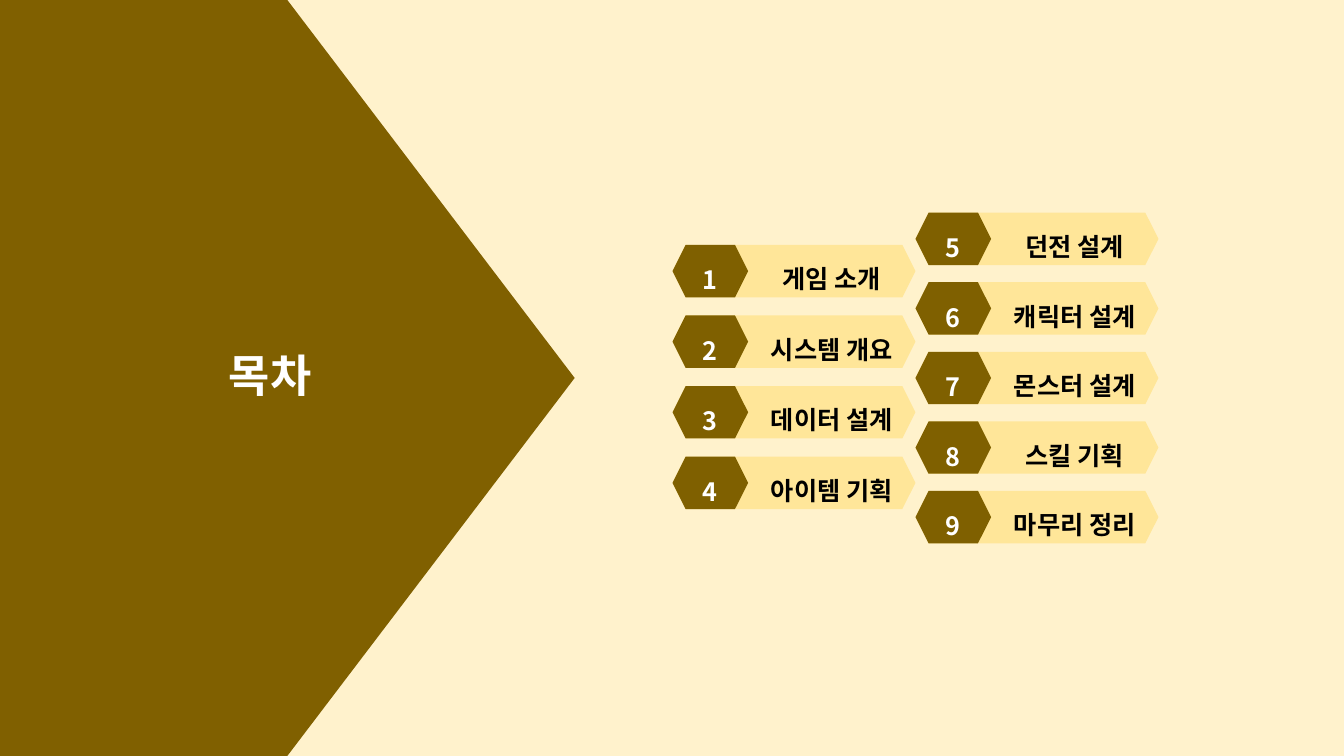
import pptx
import pptx.dml.color
import pptx.enum.shapes
import pptx.enum.text
import pptx.oxml
import pptx.oxml.ns
import pptx.util
from pptx.util import Inches

# Content
TITLE = "목차"
COLUMNS = [  # left, top, row step, entries
    (6.67, 2.43, 0.70, ["게임 소개", "시스템 개요", "데이터 설계", "아이템 기획"]),
    (9.08, 2.11, 0.69, ["던전 설계", "캐릭터 설계", "몬스터 설계", "스킬 기획", "마무리 정리"]),
]

THEME = {
    "font": "Noto Sans CJK KR",
    "cream": "FFF2CC", "brown": "806000", "badge": "7F6000", "bar": "FFE699",
    "white": "FFFFFF", "black": "000000",
    "title_size": 32, "entry_size": 18,
}

PAGE_W, PAGE_H = 13.33, 7.5
ARROW_W = 5.7
BAR_W, BADGE_W, BAR_H, TEXT_H = 2.41, 0.75, 0.52, 0.5
SHAPE = pptx.enum.shapes.MSO_SHAPE


def color(name):
    return pptx.dml.color.RGBColor.from_string(THEME[name])


def add_block(shapes, kind, left, top, width, height, fill):
    block = shapes.add_shape(kind, Inches(left), Inches(top), Inches(width), Inches(height))
    block.shadow.inherit = False
    block.fill.solid()
    block.fill.fore_color.rgb = color(fill)
    block.line.fill.background()


def add_text(shapes, text, left, top, width, height, size, fill, spacing, grow=False):
    box = shapes.add_textbox(Inches(left), Inches(top), Inches(width), Inches(height))
    frame = box.text_frame
    frame.word_wrap = True
    frame.vertical_anchor = pptx.enum.text.MSO_ANCHOR.MIDDLE
    if grow:
        frame.auto_size = pptx.enum.text.MSO_AUTO_SIZE.SHAPE_TO_FIT_TEXT
    para = frame.paragraphs[0]
    para.text = text
    para.alignment = pptx.enum.text.PP_ALIGN.CENTER
    para.line_spacing = spacing
    para.font.size = pptx.util.Pt(THEME[size])
    para.font.bold = True
    para.font.color.rgb = color(fill)
    para.font.name = THEME["font"]
    # Hangul takes the East Asian typeface
    qn = pptx.oxml.ns.qn
    latin = para._p.pPr.find(qn("a:defRPr")).find(qn("a:latin"))
    latin.addnext(pptx.oxml.parse_xml(
        f'<a:ea {pptx.oxml.ns.nsdecls("a")} typeface="{THEME["font"]}"/>'))


def add_entry(page, number, label, left, top):
    shapes = page.shapes.add_group_shape().shapes
    add_block(shapes, SHAPE.HEXAGON, left, top, BAR_W, BAR_H, "bar")
    add_text(shapes, label, left + BADGE_W, top + 0.01, BAR_W - BADGE_W, TEXT_H,
             "entry_size", "black", 1.5, grow=True)
    add_block(shapes, SHAPE.HEXAGON, left, top, BADGE_W, BAR_H, "badge")
    add_text(shapes, str(number), left, top + 0.02, BADGE_W, TEXT_H,
             "entry_size", "white", 1.5, grow=True)


def main():
    deck = pptx.Presentation()
    deck.slide_width, deck.slide_height = Inches(PAGE_W), Inches(PAGE_H)
    page = deck.slides.add_slide(deck.slide_layouts[6])

    # Backdrop and title
    add_block(page.shapes, SHAPE.RECTANGLE, 0, 0, PAGE_W, PAGE_H, "cream")
    add_block(page.shapes, SHAPE.PENTAGON, 0, 0, ARROW_W, PAGE_H, "brown")
    add_text(page.shapes, TITLE, 0.27, 3.2, 4.82, 1.1, "title_size", "white", 0.9)

    # Numbered entries, counted on across the columns
    number = 1
    for left, top, step, labels in COLUMNS:
        for row, label in enumerate(labels):
            add_entry(page, number, label, left, top + row * step)
            number += 1

    deck.save("out.pptx")


if __name__ == "__main__":
    main()
